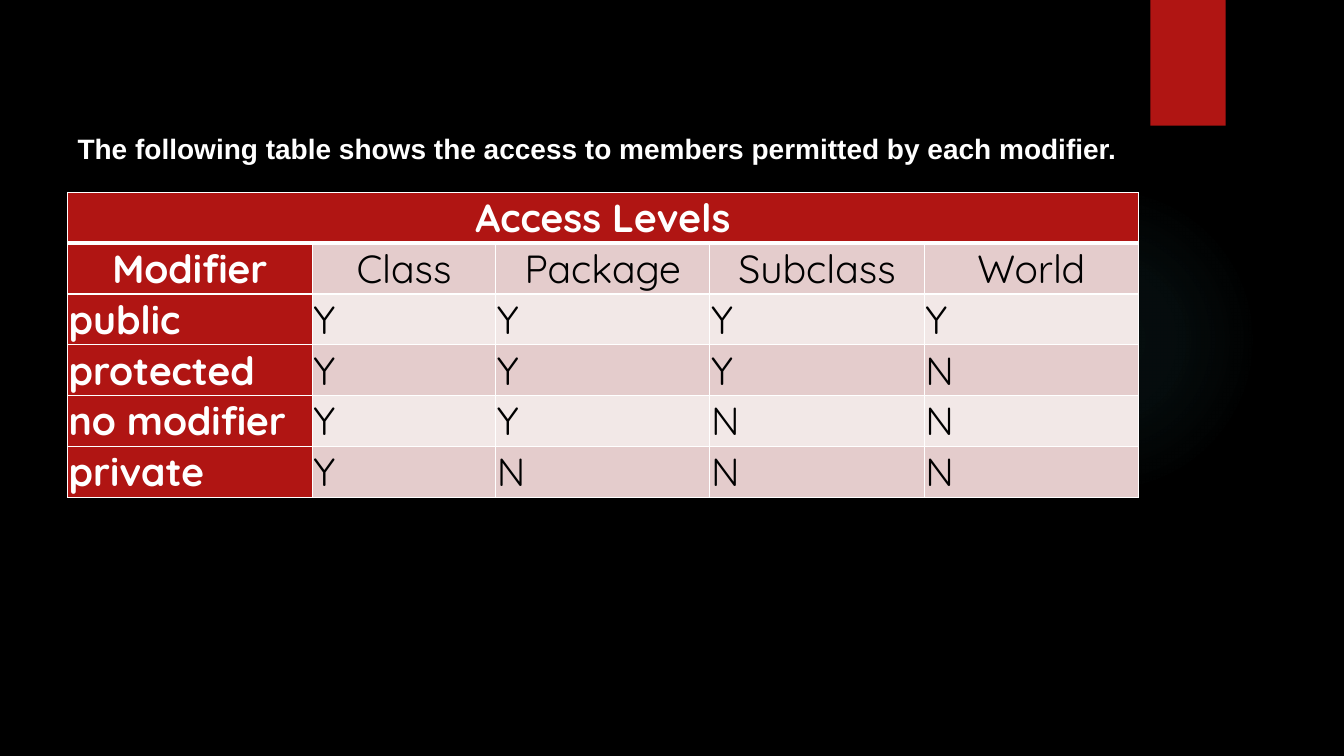
from lxml import etree
from pptx import Presentation
from pptx.dml.color import RGBColor
from pptx.enum.shapes import MSO_SHAPE
from pptx.enum.text import MSO_ANCHOR, MSO_AUTO_SIZE, PP_ALIGN
from pptx.oxml.ns import qn
from pptx.util import Cm, Pt

LEFT, MID = PP_ALIGN.LEFT, PP_ALIGN.CENTER
RECT, OVAL = MSO_SHAPE.RECTANGLE, MSO_SHAPE.OVAL

# Content
TITLE = "The following table shows the access to members permitted by each modifier."
ROWS = [
    ["Access Levels", "", "", "", ""],
    ["Modifier", "Class", "Package", "Subclass", "World"],
    ["public", "Y", "Y", "Y", "Y"],
    ["protected", "Y", "Y", "Y", "N"],
    ["no modifier", "Y", "Y", "N", "N"],
    ["private", "Y", "N", "N", "N"],
]
WIDTHS = [6.17, 4.62, 5.4, 5.4, 5.4]
ROW_H = 1.28
INSET = 0.03
RED, WHITE, BLACK = "B01513", "FFFFFF", "000000"
BANDS = ["F2E8E7", "E4CCCC"]
GLOW = "50B9C1"
STOPS = [(0, 7), (36, 6), (69, 0)]  # place and opacity, in percent


def color(code):
    return RGBColor.from_string(code)


def paint(fill, code):
    fill.solid()
    fill.fore_color.rgb = color(code)


def write(frame, text, font="Quicksand", size=28, ink=BLACK, bold=False, align=LEFT):
    para = frame.paragraphs[0]
    para.alignment = align
    run = para.add_run()
    run.text = text
    run.font.name = font
    run.font.size = Pt(size)
    run.font.bold = bold
    run.font.color.rgb = color(ink)


def node(parent, tag, **attrs):
    item = etree.SubElement(parent, qn(tag))
    for key, val in attrs.items():
        item.set(key, str(val))
    return item


def shape(kind, left, top, width, height):
    item = slide.shapes.add_shape(kind, Cm(left), Cm(top), Cm(width), Cm(height))
    item.shadow.inherit = False
    item.line.fill.background()
    return item


def fade(item):
    """Fill a shape with a round, see-through gradient."""
    item.fill.background()
    props = item.fill._xPr
    grad = etree.Element(qn("a:gradFill"))
    stops = node(grad, "a:gsLst")
    for place, alpha in STOPS:
        stop = node(stops, "a:gs", pos=place * 1000)
        tint = node(stop, "a:srgbClr", val=GLOW)
        node(tint, "a:alpha", val=alpha * 1000)
    ring = node(grad, "a:path", path="circle")
    node(ring, "a:fillToRect", l=50000, t=50000, r=50000, b=50000)
    props.replace(props.find(qn("a:noFill")), grad)


def edge(cell, top, bottom):
    props = cell._tc.get_or_add_tcPr()
    for side, width in (("L", 1), ("R", 1), ("T", top), ("B", bottom)):
        line = node(props, "a:ln" + side, w=Pt(width))
        node(node(line, "a:solidFill"), "a:srgbClr", val=WHITE)


# Slide
deck = Presentation()
deck.slide_width, deck.slide_height = Cm(33.87), Cm(19.05)
slide = deck.slides.add_slide(deck.slide_layouts[5])
paint(slide.background.fill, BLACK)

# Backdrop
fade(shape(OVAL, 23.9, 4.65, 7.82, 7.82))
paint(shape(RECT, 28.99, 0, 1.9, 3.17).fill, RED)

# Table
grid = slide.shapes.add_table(len(ROWS), len(WIDTHS), Cm(1.7), Cm(4.85),
                              Cm(sum(WIDTHS)), Cm(ROW_H * len(ROWS))).table
for col, width in zip(grid.columns, WIDTHS):
    col.width = Cm(width)
for row in grid.rows:
    row.height = Cm(ROW_H)
grid.cell(0, 0).merge(grid.cell(0, len(WIDTHS) - 1))

for r, row in enumerate(ROWS):
    for c, text in enumerate(row):
        cell = grid.cell(r, c)
        head = r == 0 or c == 0
        edge(cell, top=3 if r == 1 else 1, bottom=3 if r == 0 else 1)
        paint(cell.fill, RED if head else BANDS[r % 2])
        cell.vertical_anchor = MSO_ANCHOR.MIDDLE
        cell.margin_left = cell.margin_right = Cm(INSET)
        cell.margin_top = cell.margin_bottom = Cm(INSET)
        if text:
            write(cell.text_frame, text, ink=WHITE if head else BLACK,
                  bold=head, align=MID if r < 2 else LEFT)

# Title
title = slide.shapes.title
title.left, title.top, title.width, title.height = Cm(1.7), Cm(3.18), Cm(28.3), Cm(1.11)
frame = title.text_frame
frame.word_wrap = True
frame.auto_size = MSO_AUTO_SIZE.SHAPE_TO_FIT_TEXT
frame.vertical_anchor = MSO_ANCHOR.TOP
write(frame, TITLE, font="Arial", size=20, ink=WHITE, bold=True)

deck.save("out.pptx")
